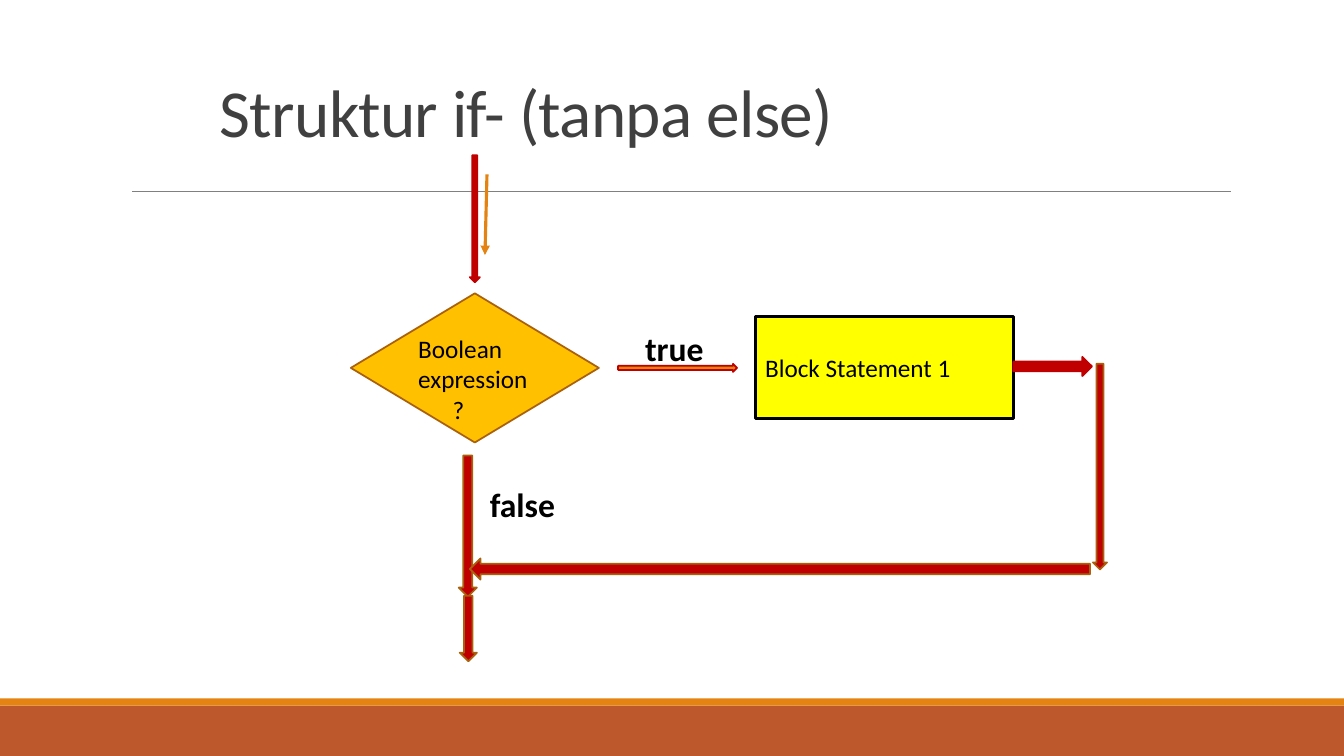
from dataclasses import dataclass

from pptx import Presentation
from pptx.dml.color import RGBColor
from pptx.enum.shapes import MSO_CONNECTOR, MSO_SHAPE
from pptx.enum.text import MSO_ANCHOR, MSO_AUTO_SIZE, PP_ALIGN
from pptx.oxml.ns import qn
from pptx.util import Inches, Pt
from lxml.etree import SubElement


@dataclass(frozen=True)
class Theme:
    font: str = "Calibri"
    title_size: int = 48
    label_size: int = 24
    body_size: int = 18
    title: str = "404040"
    black: str = "000000"
    rule: str = "808080"
    rust: str = "BD582C"
    orange: str = "E48312"
    brown: str = "A9610D"
    red: str = "C00000"
    amber: str = "FFC000"
    yellow: str = "FFFF00"


theme = Theme()


def write_text(shape, text, size=theme.body_size, color=theme.black, bold=False,
               anchor=MSO_ANCHOR.TOP):
    frame = shape.text_frame
    frame.word_wrap = True
    frame.auto_size = MSO_AUTO_SIZE.NONE
    frame.vertical_anchor = anchor
    frame.text = text
    for paragraph in frame.paragraphs:
        paragraph.alignment = PP_ALIGN.LEFT
        font = paragraph.runs[0].font
        font.name, font.size, font.bold = theme.font, Pt(size), bold
        font.color.rgb = RGBColor.from_string(color)
    return frame


def add_block(kind, box, fill, line=None, width=1.25):
    shape = slide.shapes.add_shape(kind, *map(Inches, box))
    shape.shadow.inherit = False
    shape.fill.solid()
    shape.fill.fore_color.rgb = RGBColor.from_string(fill)
    if line:
        shape.line.color.rgb = RGBColor.from_string(line)
        shape.line.width = Pt(width)
    else:
        shape.line.fill.background()
    return shape


presentation = Presentation()
presentation.slide_width = Inches(13.33)
presentation.slide_height = Inches(7.5)
slide = presentation.slides.add_slide(presentation.slide_layouts[5])

# Footer bands
add_block(MSO_SHAPE.RECTANGLE, (0, 7, 13.33, 0.5), theme.rust)
add_block(MSO_SHAPE.RECTANGLE, (0, 6.93, 13.33, 0.07), theme.orange)

# Title
title = slide.shapes.title
title.left, title.top, title.width, title.height = map(Inches, (2.08, 0.3, 9.48, 1.25))
title_frame = write_text(title, "Struktur if- (tanpa else)", size=theme.title_size,
                         color=theme.title, anchor=MSO_ANCHOR.BOTTOM)
title_frame.paragraphs[0].line_spacing = 0.85
title_frame.paragraphs[0].runs[0].font._element.set("spc", "-50")

# Decision and statement
add_block(MSO_SHAPE.DIAMOND, (3.48, 2.91, 2.46, 1.48), theme.amber, theme.brown)
statement = add_block(MSO_SHAPE.RECTANGLE, (7.49, 3.14, 2.56, 1.01),
                      theme.yellow, theme.black, 2.25)
write_text(statement, "Block Statement 1", anchor=MSO_ANCHOR.MIDDLE)
condition = slide.shapes.add_textbox(*map(Inches, (4.05, 3.26, 1.46, 1.01)))
condition_frame = write_text(condition, "Boolean expression\n?")
question_mark = condition_frame.paragraphs[1]._p.get_or_add_pPr()
question_mark.set("marL", str(Inches(0.34)))

# Title rule and entry arrow
for start, end, color, width, has_head in (
    ((1.31, 1.9), (12.21, 1.9), theme.rule, 0.5, False),
    ((4.83, 1.73), (4.81, 2.53), theme.orange, 2.25, True),
):
    connector = slide.shapes.add_connector(MSO_CONNECTOR.STRAIGHT,
                                           *map(Inches, start + end))
    connector.line.color.rgb = RGBColor.from_string(color)
    connector.line.width = Pt(width)
    if has_head:
        SubElement(connector.line._get_or_add_ln(), qn("a:tailEnd"), type="triangle")
    SubElement(connector._element.spPr, qn("a:effectLst"))

# Flow arrows
for kind, box, fill, line in (
    (MSO_SHAPE.DOWN_ARROW, (4.66, 1.54, 0.1, 1.26), theme.red, theme.red),
    (MSO_SHAPE.RIGHT_ARROW, (6.13, 3.61, 1.18, 0.08), theme.orange, theme.red),
    (MSO_SHAPE.DOWN_ARROW, (4.55, 4.52, 0.18, 1.4), theme.red, theme.brown),
    (MSO_SHAPE.DOWN_ARROW, (10.84, 3.61, 0.14, 2.04), theme.red, theme.brown),
    (MSO_SHAPE.RIGHT_ARROW, (10.05, 3.54, 0.78, 0.19), theme.red, theme.red),
    (MSO_SHAPE.DOWN_ARROW, (4.56, 5.91, 0.17, 0.65), theme.red, theme.brown),
    (MSO_SHAPE.LEFT_ARROW, (4.66, 5.54, 6.15, 0.21), theme.red, theme.brown),
):
    add_block(kind, box, fill, line)

# Branch labels
for text, left, top in (("true", 6.3, 3.2), ("false", 4.76, 4.75)):
    label = slide.shapes.add_textbox(*map(Inches, (left, top, 1.03, 0.5)))
    write_text(label, text, size=theme.label_size, bold=True)

presentation.save("out.pptx")
